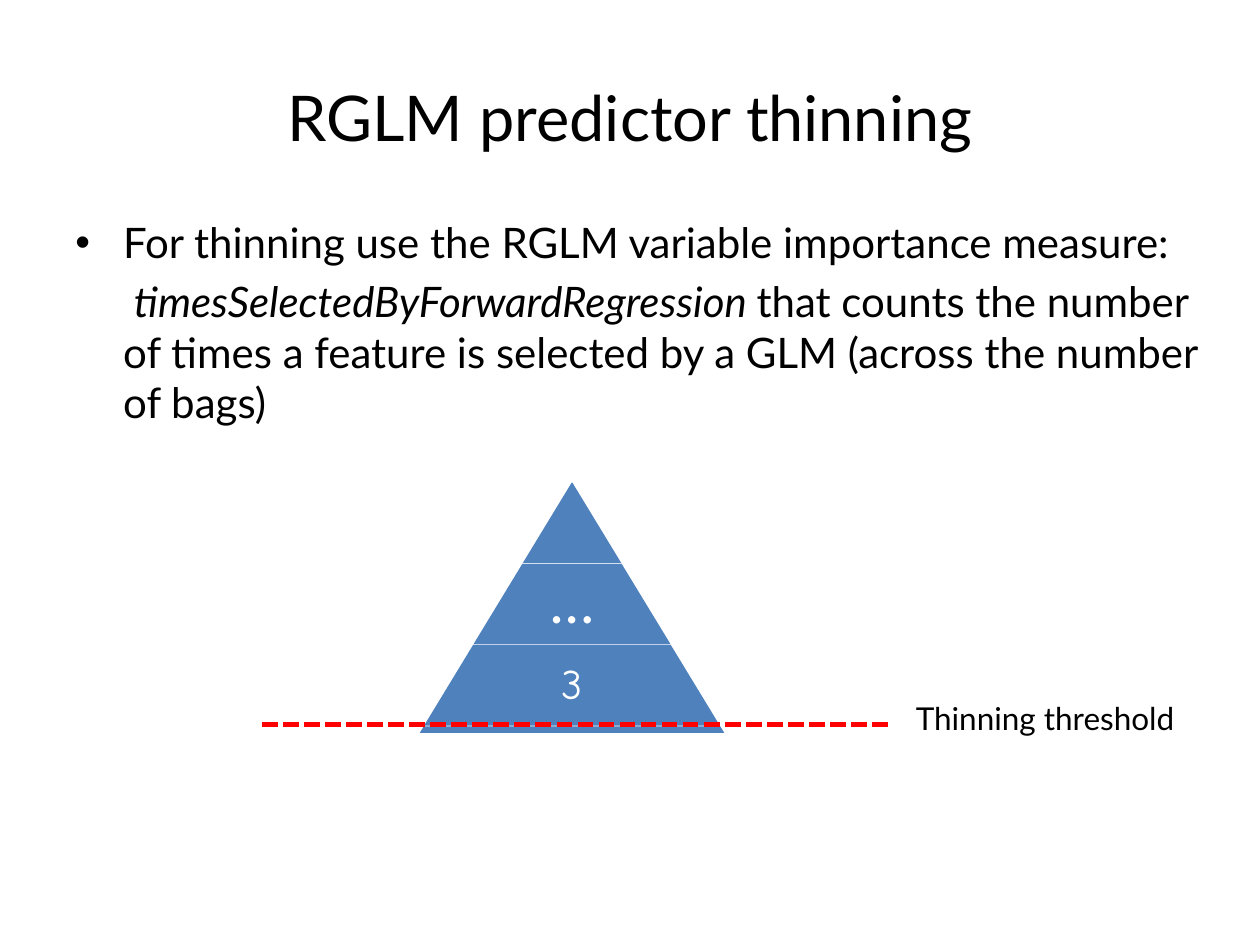
from lxml.etree import SubElement
from pptx import Presentation
from pptx.dml.color import RGBColor
from pptx.enum.dml import MSO_LINE
from pptx.enum.shapes import MSO_CONNECTOR, MSO_SHAPE
from pptx.enum.text import MSO_ANCHOR, PP_ALIGN
from pptx.oxml.ns import qn
from pptx.util import Inches, Pt

TITLE = "RGLM predictor thinning"
# Each paragraph: bullet character and (text, italic) runs
BODY = [
    ("•", [("For thinning use the RGLM variable importance measure:", False)]),
    (None, [
        ("\t ", False),
        ("timesSelectedByForwardRegression ", True),
        ("that counts the number of times a feature is selected by a GLM "
         "(across the number of bags)", False),
    ]),
]
# Pyramid tiers from the top: label, font key, size key, text inset
TIERS = [
    None,
    ("…", "ellipsis_font", "ellipsis", 0.05),
    ("3", "rank_font", "rank", 0.03),
    None,
]
THRESHOLD = "Thinning threshold"

THEME = {
    "font": "Lato", "ellipsis_font": "Calibri", "rank_font": "Comic Neue",
    "title": 36, "body": 24, "label": 18, "ellipsis": 35, "rank": 24,
    "text": RGBColor(0, 0, 0), "white": RGBColor(255, 255, 255),
    "tier": RGBColor(0x4F, 0x81, 0xBD), "threshold": RGBColor(255, 0, 0),
}

PYRAMID_CENTER, PYRAMID_TOP = 4.54, 3.83
TIER_HEIGHT, TIER_PITCH, TIER_STEP = 0.64, 0.645, 0.783
TIER_SLOPE = 0.608
THRESHOLD_Y = 5.75
HANGING = 0.38


def add_text(slide, box, paragraphs, size, font=THEME["font"], color=THEME["text"],
             align=PP_ALIGN.LEFT, anchor=MSO_ANCHOR.TOP, inset=None,
             line_spacing=None, space_before=0, hanging=0):
    """Add a text box; paragraphs is a list of (bullet, [(text, italic), ...])."""
    frame = slide.shapes.add_textbox(*map(Inches, box)).text_frame
    frame.word_wrap = True
    frame.vertical_anchor = anchor
    if inset is not None:
        frame.margin_left = frame.margin_right = Inches(inset)
        frame.margin_top = frame.margin_bottom = Inches(inset)
    for index, (bullet, runs) in enumerate(paragraphs):
        paragraph = frame.add_paragraph() if index else frame.paragraphs[0]
        paragraph.alignment = align
        paragraph.line_spacing = line_spacing
        paragraph.space_before = Pt(space_before)
        properties = paragraph._p.get_or_add_pPr()
        if hanging:
            properties.set("marL", str(Inches(hanging)))
            properties.set("indent", str(-Inches(hanging)))
        if bullet:
            SubElement(properties, qn("a:buFont")).set("typeface", "Arial")
            SubElement(properties, qn("a:buChar")).set("char", bullet)
        for text, italic in runs:
            run = paragraph.add_run()
            run.text = text
            run.font.name, run.font.size = font, Pt(size)
            run.font.italic = italic
            run.font.color.rgb = color


def add_filled_shape(slide, kind, box, color):
    shape = slide.shapes.add_shape(kind, *map(Inches, box))
    shape.shadow.inherit = False
    shape.fill.solid()
    shape.fill.fore_color.rgb = color
    shape.line.fill.background()
    return shape


def add_pyramid(slide):
    for index, label in enumerate(TIERS):
        width = TIER_STEP * (index + 1)
        top = PYRAMID_TOP + TIER_PITCH * index
        box = (PYRAMID_CENTER - width / 2, top, width, TIER_HEIGHT)
        tier = add_filled_shape(slide, MSO_SHAPE.TRAPEZOID, box, THEME["tier"])
        tier.adjustments[0] = TIER_SLOPE
        if label:
            text, font, size, inset = label
            text_width = width * 0.65
            add_text(slide, (PYRAMID_CENTER - text_width / 2, top, text_width, TIER_HEIGHT),
                     [(None, [(text, False)])], THEME[size], font=THEME[font],
                     color=THEME["white"], align=PP_ALIGN.CENTER,
                     anchor=MSO_ANCHOR.MIDDLE, inset=inset, line_spacing=0.9)


def add_threshold(slide):
    line = slide.shapes.add_connector(
        MSO_CONNECTOR.STRAIGHT, Inches(2.08), Inches(THRESHOLD_Y),
        Inches(7.08), Inches(THRESHOLD_Y))
    line.line.color.rgb = THEME["threshold"]
    line.line.width = Pt(3)
    line.line.dash_style = MSO_LINE.SQUARE_DOT
    SubElement(line._element.spPr, qn("a:effectLst"))
    add_text(slide, (7.17, 5.5, 2.58, 0.4), [(None, [(THRESHOLD, False)])], THEME["label"])
    cutoff = add_filled_shape(slide, MSO_SHAPE.RECTANGLE, (2.25, 5.83, 4.58, 1.33),
                              THEME["white"])
    cutoff.line.color.rgb = THEME["white"]
    cutoff.line.width = Pt(2)


def main():
    presentation = Presentation()
    presentation.slide_width, presentation.slide_height = Inches(10), Inches(7.5)
    slide = presentation.slides.add_slide(presentation.slide_layouts[6])
    add_text(slide, (0.5, 0.3, 9, 1.25), [(None, [(TITLE, False)])], THEME["title"],
             align=PP_ALIGN.CENTER, anchor=MSO_ANCHOR.MIDDLE)
    add_text(slide, (0.5, 1.67, 9.17, 2.17), BODY, THEME["body"],
             space_before=5, hanging=HANGING)
    add_pyramid(slide)
    add_threshold(slide)
    presentation.save("out.pptx")


if __name__ == "__main__":
    main()
